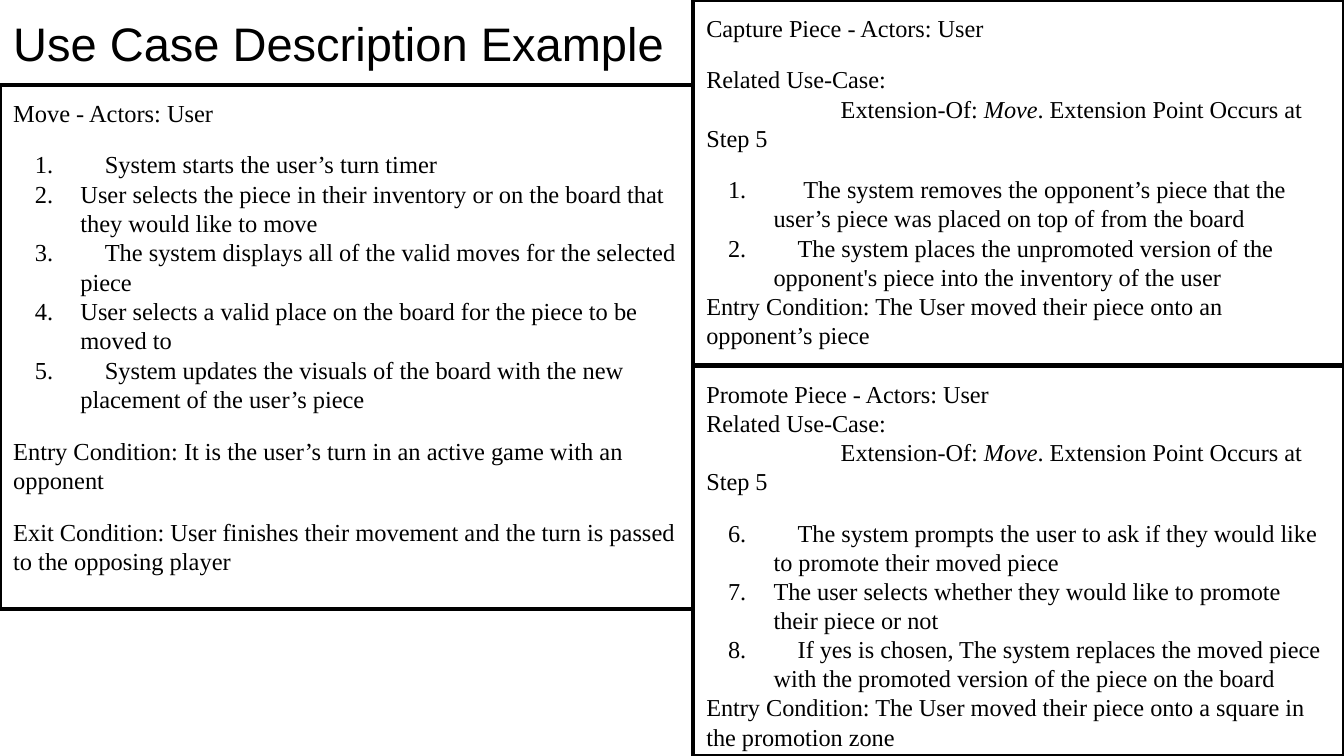
"""Build a slide of use case descriptions in three framed boxes."""
import pptx
import pptx.dml.color
import pptx.enum.shapes
import pptx.enum.text
import pptx.oxml
import pptx.oxml.ns
import pptx.util

Cm = pptx.util.Cm
Pt = pptx.util.Pt
COLORS = {"ink": "000000", "page": "FFFFFF"}
WIDE, HIGH = 25.4, 14.29
SPLIT, HEAD, MID = 13.1, 1.6, 6.91
EM_SPACE = chr(8195)

MOVE = [
    ("plain", 0, "Move - Actors: User"),
    ("spaced", 12, "System starts the user’s turn timer"),
    ("step", 0, "User selects the piece in their inventory or on the board that they would like to move"),
    ("spaced", 0, "The system displays all of the valid moves for the selected piece"),
    ("step", 0, "User selects a valid place on the board for the piece to be moved to"),
    ("spaced", 0, "System updates the visuals of the board with the new placement of the user’s piece"),
    ("plain", 12, "Entry Condition: It is the user’s turn in an active game with an opponent"),
    ("plain", 12, "Exit Condition: User finishes their movement and the turn is passed to the opposing player"),
]
LINK = ("inset", 0, "Extension-Of: *Move*. Extension Point Occurs at Step 5")
CAPTURE = [
    ("plain", 0, "Capture Piece - Actors: User"),
    ("plain", 12, "Related Use-Case:"),
    LINK,
    ("spaced", 12, " The system removes the opponent’s piece that the user’s piece was placed on top of from the board"),
    ("spaced", 0, "The system places the unpromoted version of the opponent's piece into the inventory of the user"),
    ("plain", 0, "Entry Condition: The User moved their piece onto an opponent’s piece"),
]
PROMOTE = [
    ("plain", 0, "Promote Piece - Actors: User"),
    ("plain", 0, "Related Use-Case:"),
    LINK,
    ("spaced", 12, "The system prompts the user to ask if they would like to promote their moved piece"),
    ("step", 0, "The user selects whether they would like to promote their piece or not"),
    ("spaced", 0, "If yes is chosen, The system replaces the moved piece with the promoted version of the piece on the board"),
    ("plain", 0, "Entry Condition: The User moved their piece onto a square in the promotion zone"),
]


def color(name):
    return pptx.dml.color.RGBColor.from_string(COLORS[name])


def set_font(para, face, size):
    font = para.font
    font.name, font.size = face, Pt(size)
    font.color.rgb = color("ink")


def set_frame(frame, anchor):
    frame.word_wrap = True
    frame.vertical_anchor = anchor
    frame.margin_left = frame.margin_top = frame.margin_bottom = Cm(0.25)
    frame.margin_right = Cm(0.28)


def set_indent(para, left, first):
    props = para._p.get_or_add_pPr()
    props.set("marL", str(Cm(left)))
    props.set("indent", str(Cm(first)))
    return props


def add_number(para, start):
    props = set_indent(para, 1.27, -0.86)
    space = pptx.oxml.ns.nsdecls("a")
    props.append(pptx.oxml.parse_xml(
        f'<a:buClr {space}><a:srgbClr val="{COLORS["ink"]}"/></a:buClr>'))
    props.append(pptx.oxml.parse_xml(
        f'<a:buAutoNum {space} type="arabicPeriod" startAt="{start}"/>'))


def add_para(para, kind, gap, text, size, start):
    if kind in ("step", "spaced"):
        add_number(para, start)
    elif kind == "inset":
        set_indent(para, 0, 2.54)
    if kind == "spaced":
        text = EM_SPACE + text
    para.alignment = pptx.enum.text.PP_ALIGN.LEFT
    para.space_before = Pt(gap)
    for i, part in enumerate(text.split("*")):
        run = para.add_run()
        run.text = part
        if i % 2:
            run.font.italic = True
    set_font(para, "Times New Roman", size)


def add_title(slide, text):
    box = slide.shapes.add_textbox(0, 0, Cm(23.67), Cm(HEAD))
    set_frame(box.text_frame, pptx.enum.text.MSO_ANCHOR.BOTTOM)
    para = box.text_frame.paragraphs[0]
    para.text = text
    set_font(para, "Arial", 25.2)


def add_case(slide, left, top, width, height, lines, size=13, start=1):
    kind = pptx.enum.shapes.MSO_SHAPE.RECTANGLE
    box = slide.shapes.add_shape(kind, Cm(left), Cm(top), Cm(width), Cm(height))
    box.shadow.inherit = False
    box.fill.background()
    box.line.color.rgb = color("ink")
    box.line.width = Pt(2.25)
    frame = box.text_frame
    set_frame(frame, pptx.enum.text.MSO_ANCHOR.TOP)
    for i, line in enumerate(lines):
        para = frame.add_paragraph() if i else frame.paragraphs[0]
        add_para(para, *line, size, start)


def main():
    deck = pptx.Presentation()
    deck.slide_width, deck.slide_height = Cm(WIDE), Cm(HIGH)
    slide = deck.slides.add_slide(deck.slide_layouts[6])
    slide.background.fill.solid()
    slide.background.fill.fore_color.rgb = color("page")
    add_title(slide, "Use Case Description Example")
    add_case(slide, 0, HEAD, SPLIT, 9.91, MOVE, size=13.1)
    add_case(slide, SPLIT, 0, WIDE - SPLIT, MID, CAPTURE)
    add_case(slide, SPLIT, MID, WIDE - SPLIT, HIGH - MID, PROMOTE, start=6)
    deck.save("out.pptx")


if __name__ == "__main__":
    main()
